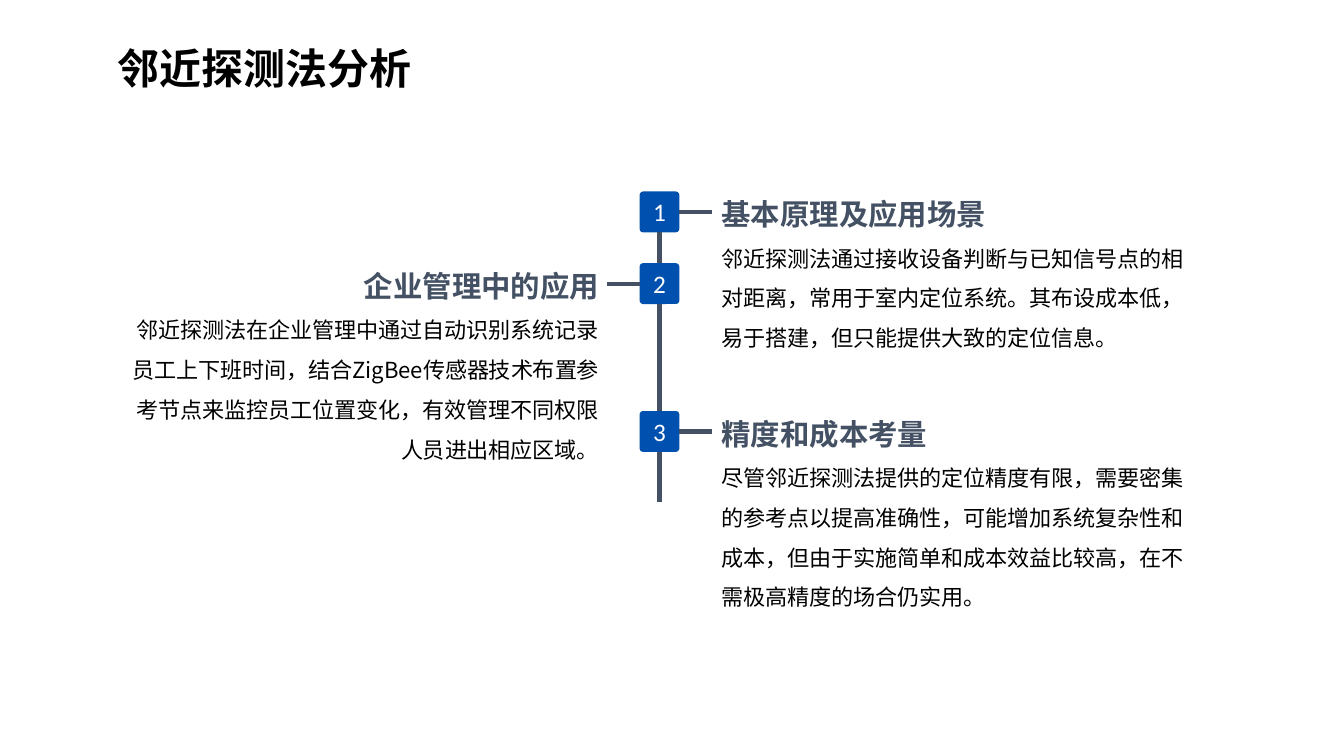
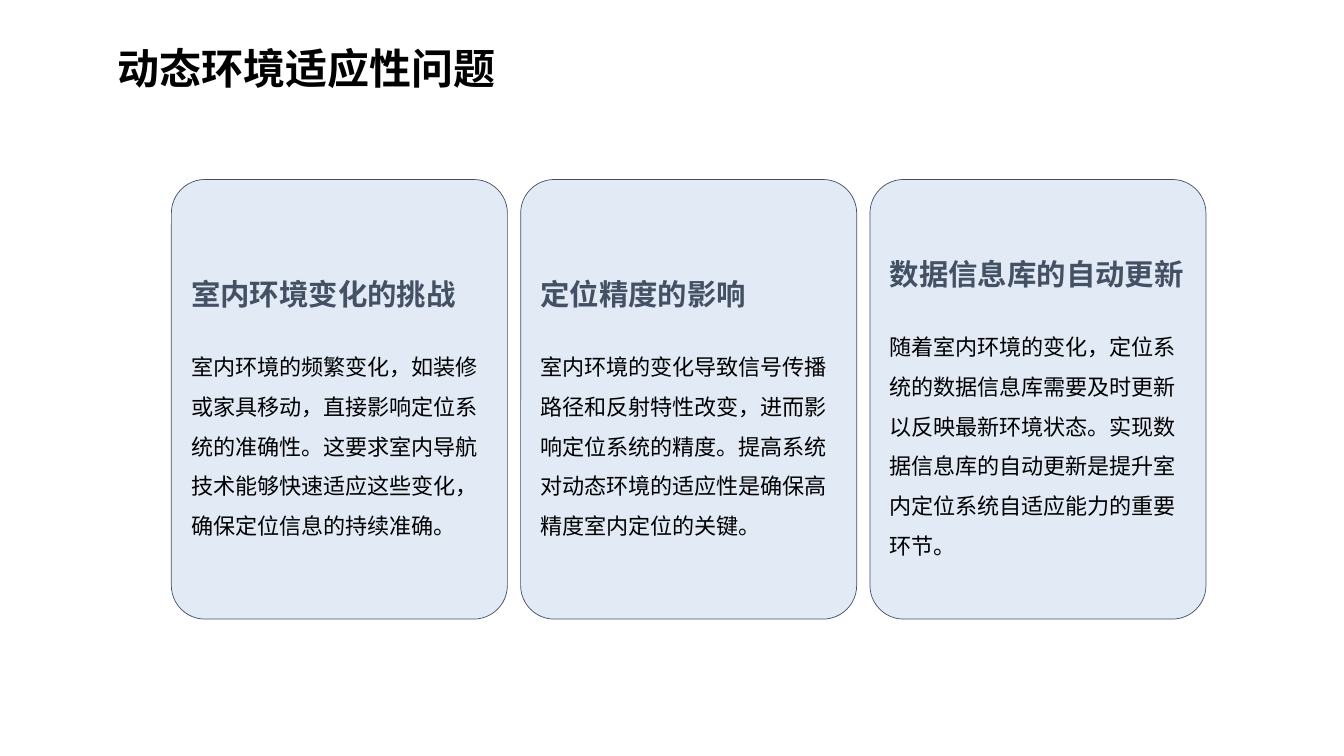
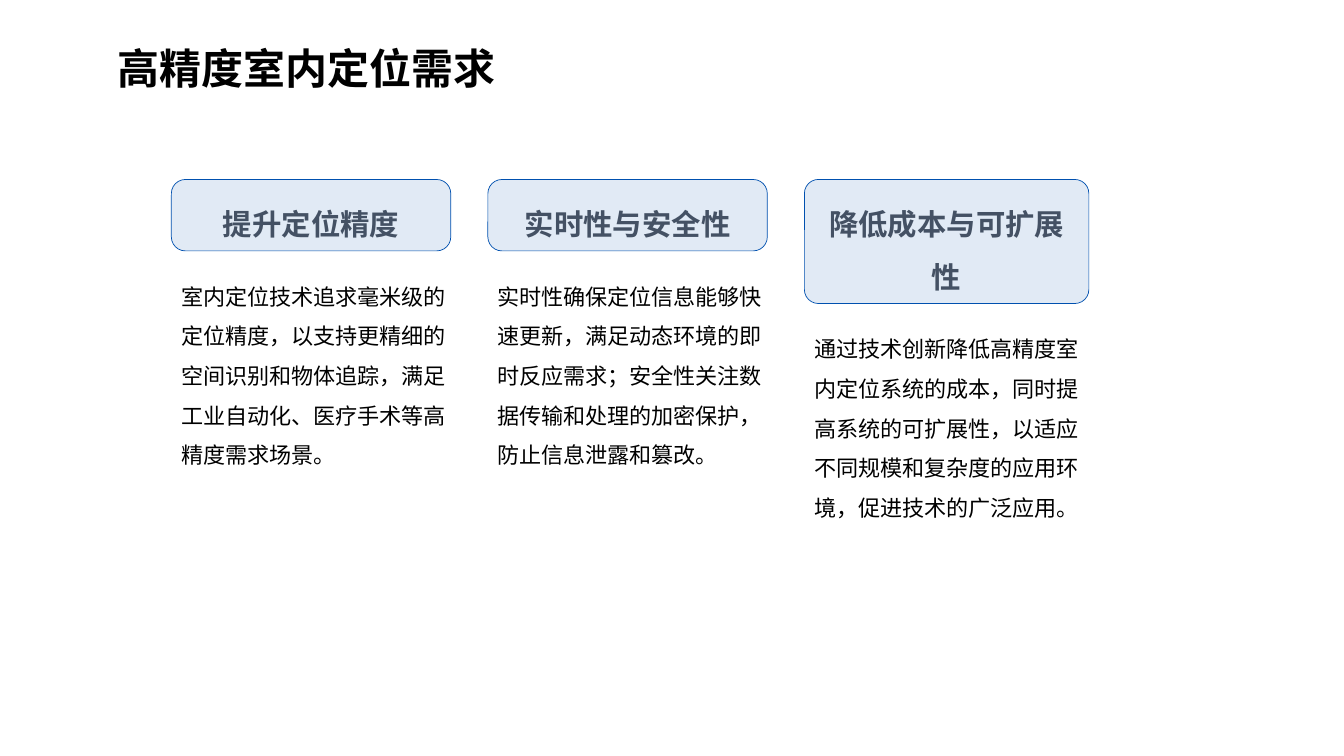
from lxml.etree import SubElement
from pptx import Presentation
from pptx.dml.color import RGBColor
from pptx.enum.shapes import MSO_CONNECTOR, MSO_SHAPE
from pptx.enum.text import MSO_ANCHOR, PP_ALIGN
from pptx.oxml.ns import qn
from pptx.util import Pt

COLORS = {
    "black": "000000",
    "white": "FFFFFF",
    "slate": "445164",
    "blue": "0050AF",
    "pale": "E1EAF5",
}
CHINESE_FONT = "Noto Sans CJK SC"
TEXT_STYLES = {
    "title": {"size": 30, "color": "black", "bold": True, "leading": 54},
    "heading": {"size": 21, "color": "slate", "bold": True, "leading": 25.2},
    "label": {"size": 21, "color": "slate", "bold": True, "leading": 37.8},
    "body": {"size": 15.75, "color": "black", "bold": False, "leading": 28.35},
    "number": {"size": 18, "color": "white", "bold": False, "leading": None},
}
TOP, LEFT, BOTTOM, RIGHT = range(4)


class Deck:
    """Holds the shared style and the slide being built."""

    def __init__(self):
        self.presentation = Presentation()
        self.presentation.slide_width = Pt(960)
        self.presentation.slide_height = Pt(540)
        self.slide = None

    def new_slide(self, title):
        self.slide = self.presentation.slides.add_slide(self.presentation.slide_layouts[6])
        self.text_box(77, 8.6, 738, 61.2, [("title", title)])

    def fill_text(self, frame, parts, align=PP_ALIGN.LEFT, gap=0, font_name=CHINESE_FONT):
        frame.word_wrap = True
        frame.vertical_anchor = MSO_ANCHOR.MIDDLE
        for index, (style_name, text) in enumerate(parts):
            style = TEXT_STYLES[style_name]
            paragraph = frame.add_paragraph() if index else frame.paragraphs[0]
            paragraph.alignment = align
            if style["leading"]:
                paragraph.line_spacing = Pt(style["leading"])
            if index and gap:
                paragraph.space_before = Pt(gap)
            run = paragraph.add_run()
            run.text = text
            run.font.size = Pt(style["size"])
            run.font.bold = style["bold"]
            run.font.color.rgb = RGBColor.from_string(COLORS[style["color"]])
            run.font.name = font_name
            SubElement(run._r.get_or_add_rPr(), qn("a:ea"), typeface=font_name)

    def text_box(self, left, top, width, height, parts, align=PP_ALIGN.LEFT):
        box = self.slide.shapes.add_textbox(Pt(left), Pt(top), Pt(width), Pt(height))
        self.fill_text(box.text_frame, parts, align)

    def rounded_box(self, left, top, width, height, radius, fill, line=None):
        shape = self.slide.shapes.add_shape(
            MSO_SHAPE.ROUNDED_RECTANGLE, Pt(left), Pt(top), Pt(width), Pt(height)
        )
        shape.adjustments[0] = radius / min(width, height)
        shape.shadow.inherit = False
        shape.fill.solid()
        shape.fill.fore_color.rgb = RGBColor.from_string(COLORS[fill])
        if line:
            shape.line.color.rgb = RGBColor.from_string(COLORS[line])
            shape.line.width = Pt(0.5)
        else:
            shape.line.fill.background()
        return shape

    def marker(self, left, top, width, height, number):
        shape = self.rounded_box(left, top, width, height, 2.5, "blue")
        frame = shape.text_frame
        frame.margin_left = frame.margin_right = frame.margin_top = frame.margin_bottom = 0
        self.fill_text(frame, [("number", str(number))], PP_ALIGN.CENTER, font_name="Calibri")
        return shape

    def card(self, left, top, width, height, heading, body):
        shape = self.rounded_box(left, top, width, height, 24, "pale", "slate")
        shape.text_frame.margin_top = Pt(15)
        self.fill_text(shape.text_frame, [("heading", heading), ("body", body)], gap=21)

    def pill(self, left, top, width, height, label):
        shape = self.rounded_box(left, top, width, height, 10, "pale", "blue")
        self.fill_text(shape.text_frame, [("label", label)], PP_ALIGN.CENTER)

    def connector(self, start, start_side, end_x, end_y, end=None, end_side=None):
        line = self.slide.shapes.add_connector(
            MSO_CONNECTOR.STRAIGHT, Pt(end_x), Pt(end_y), Pt(end_x), Pt(end_y)
        )
        line.begin_connect(start, start_side)
        if end is not None:
            line.end_connect(end, end_side)
        line.line.color.rgb = RGBColor.from_string(COLORS["slate"])
        line.line.width = Pt(3)
        SubElement(line._element.spPr, qn("a:effectLst"))


def build_timeline(deck):
    """Numbered markers on a vertical line with texts on alternating sides."""
    deck.new_slide("邻近探测法分析")
    items = [
        (136.8, 117.4, RIGHT, "基本原理及应用场景",
         "邻近探测法通过接收设备判断与已知信号点的相对距离，常用于室内定位系统。其布设成本低，易于搭建，但只能提供大致的定位信息。"),
        (188, 146, LEFT, "企业管理中的应用",
         "邻近探测法在企业管理中通过自动识别系统记录员工上下班时间，结合ZigBee传感器技术布置参考节点来监控员工位置变化，有效管理不同权限人员进出相应区域。"),
        (293.6, 146, RIGHT, "精度和成本考量",
         "尽管邻近探测法提供的定位精度有限，需要密集的参考点以提高准确性，可能增加系统复杂性和成本，但由于实施简单和成本效益比较高，在不需极高精度的场合仍实用。"),
    ]
    left, width, height, arm = 456.9, 28.4, 29.2, 23.6
    center = left + width / 2
    previous = None
    for number, (top, text_height, side, heading, body) in enumerate(items, 1):
        on_right = side == RIGHT
        deck.text_box(508.3 if on_right else 77, top, 358, text_height,
                      [("heading", heading), ("body", body)],
                      PP_ALIGN.LEFT if on_right else PP_ALIGN.RIGHT)
        marker = deck.marker(left, top, width, height, number)
        arm_end = left + width + arm if on_right else left - arm
        deck.connector(marker, side, arm_end, top + height / 2)
        if previous is not None:
            deck.connector(previous, BOTTOM, center, top, marker, TOP)
        previous = marker
    deck.connector(previous, BOTTOM, center, 358.6)


def build_cards(deck):
    """Three equal cards in a row."""
    deck.new_slide("动态环境适应性问题")
    cards = [
        ("室内环境变化的挑战",
         "室内环境的频繁变化，如装修或家具移动，直接影响定位系统的准确性。这要求室内导航技术能够快速适应这些变化，确保定位信息的持续准确。"),
        ("定位精度的影响",
         "室内环境的变化导致信号传播路径和反射特性改变，进而影响定位系统的精度。提高系统对动态环境的适应性是确保高精度室内定位的关键。"),
        ("数据信息库的自动更新",
         "随着室内环境的变化，定位系统的数据信息库需要及时更新以反映最新环境状态。实现数据信息库的自动更新是提升室内定位系统自适应能力的重要环节。"),
    ]
    for index, (heading, body) in enumerate(cards):
        deck.card(122.4 + index * 249.5, 128.2, 240, 314, heading, body)


def build_columns(deck):
    """Three labelled columns, each text hanging below its label."""
    deck.new_slide("高精度室内定位需求")
    columns = [
        (199.6, 51, "提升定位精度",
         "室内定位技术追求毫米级的定位精度，以支持更精细的空间识别和物体追踪，满足工业自动化、医疗手术等高精度需求场景。"),
        (199.6, 51, "实时性与安全性",
         "实时性确保定位信息能够快速更新，满足动态环境的即时反应需求；安全性关注数据传输和处理的加密保护，防止信息泄露和篡改。"),
        (203.2, 88.6, "降低成本与可扩展性",
         "通过技术创新降低高精度室内定位系统的成本，同时提高系统的可扩展性，以适应不同规模和复杂度的应用环境，促进技术的广泛应用。"),
    ]
    top = 128.2
    for index, (width, height, label, body) in enumerate(columns):
        left = 122.4 + index * 226.1
        deck.pill(left, top, width, height, label)
        deck.text_box(left, top + height + 10, 216, 149, [("body", body)])


def main():
    """Build the three slides and save them."""
    deck = Deck()
    build_timeline(deck)
    build_cards(deck)
    build_columns(deck)
    deck.presentation.save("out.pptx")


if __name__ == "__main__":
    main()
